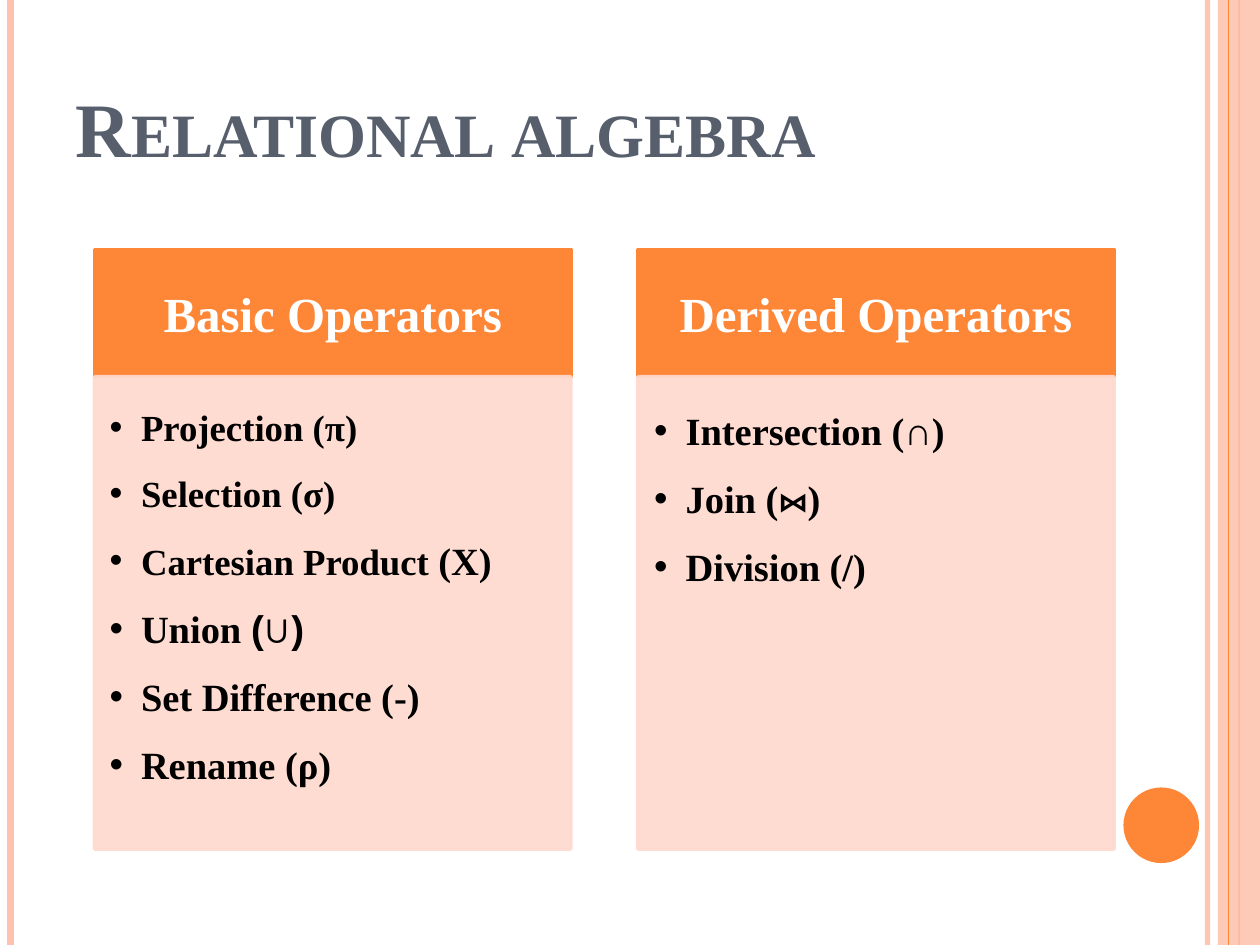
"""Build the relational algebra slide with two operator cards."""
from dataclasses import dataclass

from lxml import etree
from pptx import Presentation
from pptx import util as u
from pptx.dml.color import RGBColor
from pptx.enum import shapes, text
from pptx.oxml.ns import qn


@dataclass(frozen=True)
class Theme:
    font: str = "Times New Roman"
    symbol_font: str = "Arial"
    title: str = "575F6D"
    accent: str = "FE8637"
    stripe: str = "FEC3AE"
    panel: str = "FFD9CE"
    light: str = "FFFFFF"
    dark: str = "000000"
    title_size: int = 44
    header_size: int = 28
    list_size: int = 22
    small_list_size: int = 21


THEME = Theme()
WIDTH, HEIGHT = 720, 540
CARD_LEFT, CARD_TOP, CARD_WIDTH, CARD_STEP = 54, 142.5, 272.2, 310.4
HEADER_HEIGHT, PANEL_HEIGHT = 72.7, 270
STRIPES = [
    (690, THEME.stripe, 3, 93),
    (6, THEME.stripe, 4.5, 100),
    (708, THEME.accent, 1.5, 100),
]
SMALL, LARGE = THEME.small_list_size, THEME.list_size
CARDS = [
    ("Basic Operators", (8.6, 8.6, 11.5, 13), [
        [("Projection (π)", SMALL, THEME.font)],
        [("Selection (σ)", SMALL, THEME.font)],
        [("Cartesian Product ", SMALL, THEME.font), ("(X)", LARGE, THEME.font)],
        [("Union ", LARGE, THEME.font), ("(∪)", LARGE, THEME.symbol_font)],
        [("Set Difference (-)", LARGE, THEME.font)],
        [("Rename (ρ)", LARGE, THEME.font)],
    ]),
    ("Derived Operators", (9.4, 9.4, 12.2, 13.7), [
        [("Intersection (∩)", LARGE, THEME.font)],
        [("Join (⋈)", LARGE, THEME.font)],
        [("Division (/)", LARGE, THEME.font)],
    ]),
]


def set_opacity(shape, percent):
    if percent < 100:
        for color in shape.element.spPr.iter(qn("a:srgbClr")):
            etree.SubElement(color, qn("a:alpha"), val=str(percent * 1000))


def add_stripe(slide, x, color, width, opacity):
    line = slide.shapes.add_connector(
        shapes.MSO_CONNECTOR.STRAIGHT, u.Pt(x), u.Pt(0), u.Pt(x), u.Pt(HEIGHT))
    line.line.color.rgb = RGBColor.from_string(color)
    line.line.width = u.Pt(width)
    set_opacity(line, opacity)
    etree.SubElement(line.element.spPr, qn("a:effectLst"))


def paint(shape, color, line_width=0, opacity=100):
    shape.shadow.inherit = False
    shape.fill.solid()
    shape.fill.fore_color.rgb = RGBColor.from_string(color)
    if line_width:
        shape.line.color.rgb = RGBColor.from_string(color)
        shape.line.width = u.Pt(line_width)
    else:
        shape.line.fill.background()
    set_opacity(shape, opacity)


def add_decoration(slide, kind, box, color, opacity=100):
    shape = slide.shapes.add_shape(kind, *map(u.Pt, box))
    paint(shape, color, opacity=opacity)


def place(shape, box, insets, anchor):
    shape.left, shape.top, shape.width, shape.height = map(u.Pt, box)
    frame = shape.text_frame
    frame.word_wrap = True
    frame.auto_size = text.MSO_AUTO_SIZE.NONE
    frame.vertical_anchor = anchor
    (frame.margin_left, frame.margin_top,
     frame.margin_right, frame.margin_bottom) = map(u.Pt, insets)
    return frame


def add_run(paragraph, wording, size, color, font=THEME.font):
    run = paragraph.add_run()
    run.text = wording
    run.font.name = font
    run.font.size = u.Pt(size)
    run.font.bold = True
    run.font.color.rgb = RGBColor.from_string(color)
    return run


def fill_title(shape, wording):
    frame = place(shape, (36, 12.2, 588, 90), (7.2, 3.6, 7.2, 3.6),
                  text.MSO_ANCHOR.BOTTOM)
    paragraph = frame.paragraphs[0]
    paragraph.alignment = text.PP_ALIGN.LEFT
    run = add_run(paragraph, wording, THEME.title_size, THEME.title)
    run.font.element.set("cap", "small") if hasattr(run.font, "element") else \
        run._r.get_or_add_rPr().set("cap", "small")


def fill_header(shape, left, wording):
    frame = place(shape, (left, CARD_TOP, CARD_WIDTH, HEADER_HEIGHT),
                  (15.8, 8.6, 15.8, 8.6), text.MSO_ANCHOR.MIDDLE)
    paint(shape, THEME.accent, 2)
    paragraph = frame.paragraphs[0]
    paragraph.alignment = text.PP_ALIGN.CENTER
    paragraph.space_before = u.Pt(0)
    add_run(paragraph, wording, THEME.header_size, THEME.light)


def add_bullet(paragraph):
    properties = paragraph._p.get_or_add_pPr()
    properties.set("marL", str(u.Pt(18)))
    properties.set("indent", str(-u.Pt(18)))
    etree.SubElement(properties, qn("a:buFont"), typeface=THEME.symbol_font)
    etree.SubElement(properties, qn("a:buChar"), char="•")


def fill_list(shape, left, insets, items):
    box = (left, CARD_TOP + HEADER_HEIGHT, CARD_WIDTH, PANEL_HEIGHT)
    frame = place(shape, box, insets, text.MSO_ANCHOR.TOP)
    paint(shape, THEME.panel, 2, 90)
    for index, item in enumerate(items):
        paragraph = frame.add_paragraph() if index else frame.paragraphs[0]
        paragraph.line_spacing = 1.3
        paragraph.space_before = u.Pt(0)
        paragraph.space_after = u.Pt(4.7)
        add_bullet(paragraph)
        for wording, size, font in item:
            add_run(paragraph, wording, size, THEME.dark, font)


def main():
    presentation = Presentation()
    presentation.slide_width, presentation.slide_height = u.Pt(WIDTH), u.Pt(HEIGHT)
    layout = presentation.slide_layouts.get_by_name("Comparison")
    slide = presentation.slides.add_slide(layout)
    for stripe in STRIPES:
        add_stripe(slide, *stripe)
    add_decoration(slide, shapes.MSO_SHAPE.RECTANGLE,
                   (696, 0, 24, HEIGHT), THEME.stripe, 87)
    add_stripe(slide, 702, THEME.accent, 0.75, 100)
    add_decoration(slide, shapes.MSO_SHAPE.OVAL, (642, 450, 43.2, 43.2), THEME.accent)
    title, *card_parts = slide.placeholders
    fill_title(title, "Relational algebra")
    for index, (heading, insets, items) in enumerate(CARDS):
        left = CARD_LEFT + index * CARD_STEP
        fill_header(card_parts[2 * index], left, heading)
        fill_list(card_parts[2 * index + 1], left, insets, items)


    presentation.save("out.pptx")


if __name__ == "__main__":
    main()
